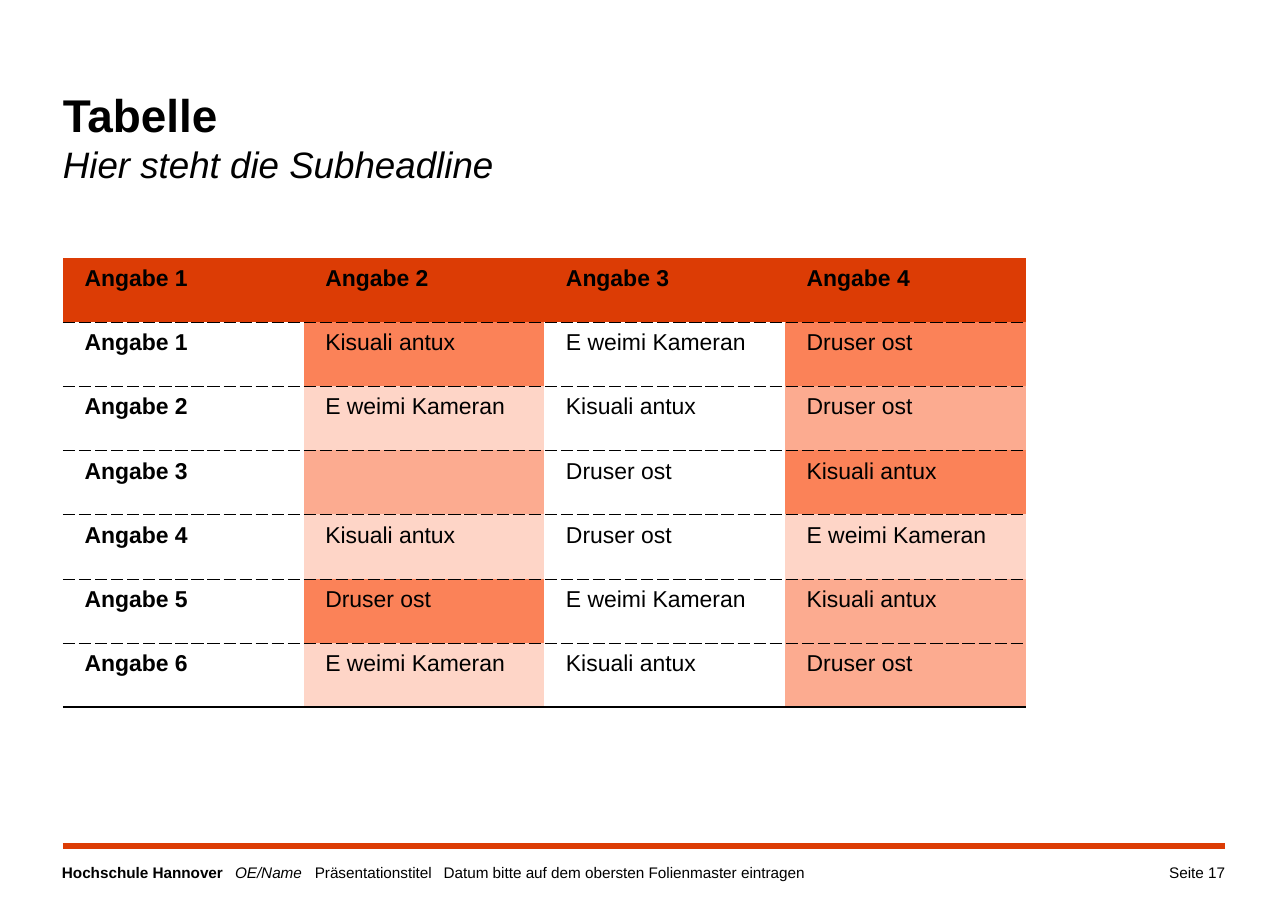
"""Build a slide with a headline, a colour-coded table and a footer."""
from lxml import etree
from pptx import Presentation
from pptx import util as u
from pptx.dml.color import RGBColor
from pptx.enum import shapes, text
from pptx.oxml import parse_xml
from pptx.oxml.ns import nsdecls, qn

FONT, BLACK, RED = "Arial", "000000", "DC3C05"
STRONG, MEDIUM, PALE = "FB8258", "FCAB90", "FED5C7"
LEFT, RIGHT = 1.45, 28.25

TITLE = "Tabelle\vHier steht die Subheadline"
TITLE_STYLES = [(30, True, False), (24, False, True)]
FOOTER = ["Hochschule Hannover", "\tOE/Name",
          "\tPräsentationstitel\tDatum bitte auf dem obersten Folienmaster eintragen"]
FOOTER_STYLES = [(10, True, False), (10, False, True), (10, False, False)]
FOOTER_TABS = [3.99, 5.83, 8.8]
PAGE_NUMBER = "Seite 17"

HEADER = ["Angabe 1", "Angabe 2", "Angabe 3", "Angabe 4"]
ROWS = [
    ["Angabe 1", "Kisuali antux", "E weimi Kameran", "Druser ost"],
    ["Angabe 2", "E weimi Kameran", "Kisuali antux", "Druser ost"],
    ["Angabe 3", "", "Druser ost", "Kisuali antux"],
    ["Angabe 4", "Kisuali antux", "Druser ost", "E weimi Kameran"],
    ["Angabe 5", "Druser ost", "E weimi Kameran", "Kisuali antux"],
    ["Angabe 6", "E weimi Kameran", "Kisuali antux", "Druser ost"],
]
FILLS = {
    1: [STRONG, PALE, MEDIUM, PALE, STRONG, PALE],
    3: [STRONG, MEDIUM, STRONG, PALE, MEDIUM, MEDIUM],
}
TABLE_TOP, COLUMN_WIDTH, ROW_HEIGHT = 5.94, 5.55, 1.48


def paint(target, colour):
    if hasattr(target, "solid"):
        target.solid()
        target = target.fore_color
    target.rgb = RGBColor.from_string(colour)


def style(font, size, bold=False, italic=False):
    font.name, font.size = FONT, u.Pt(size)
    font.bold, font.italic = bold, italic
    paint(font.color, BLACK)


def add_text(page, left, top, width, height, inset=0):
    box = page.shapes.add_textbox(u.Cm(left), u.Cm(top), u.Cm(width), u.Cm(height))
    frame = box.text_frame
    frame.word_wrap = True
    frame.margin_left = frame.margin_right = frame.margin_bottom = 0
    frame.margin_top = u.Cm(inset)
    return frame.paragraphs[0]


def add_title(page):
    para = add_text(page, LEFT, 1.85, RIGHT - LEFT, 2.64, 0.14)
    para.text = TITLE
    for span, look in zip(para.runs, TITLE_STYLES):
        style(span.font, *look)


def add_footer(page):
    rule = page.shapes.add_connector(
        shapes.MSO_CONNECTOR.STRAIGHT, u.Cm(LEFT), u.Cm(19.5), u.Cm(RIGHT), u.Cm(19.5))
    paint(rule.line.fill, RED)
    rule.line.width = u.Pt(4)
    etree.SubElement(rule._element.spPr, qn("a:effectLst"))

    para = add_text(page, 1.43, 19.91, 21.44, 0.61)
    stops = etree.SubElement(para._p.get_or_add_pPr(), qn("a:tabLst"))
    for position in FOOTER_TABS:
        etree.SubElement(stops, qn("a:tab"), pos=str(u.Cm(position)), algn="l")
    for words, look in zip(FOOTER, FOOTER_STYLES):
        span = para.add_run()
        span.text = words
        style(span.font, *look)

    para = add_text(page, 24.85, 19.91, 3.4, 0.63)
    para.text = PAGE_NUMBER
    para.alignment = text.PP_ALIGN.RIGHT
    style(para.runs[0].font, 10)


def set_border(cell, side, points=0, dash="solid"):
    fill = "<a:noFill/>"
    if points:
        fill = (f'<a:solidFill><a:srgbClr val="{BLACK}"/></a:solidFill>'
                f'<a:prstDash val="{dash}"/>')
    cell._tc.get_or_add_tcPr().append(parse_xml(
        f'<a:ln{side} {nsdecls("a")} w="{u.Pt(points)}">{fill}</a:ln{side}>'))


def add_table(page):
    content = [HEADER] + ROWS
    last = len(content) - 1
    table = page.shapes.add_table(
        len(content), len(HEADER), u.Cm(LEFT), u.Cm(TABLE_TOP),
        u.Cm(COLUMN_WIDTH * len(HEADER)), u.Cm(ROW_HEIGHT * len(content))).table
    table.first_row = table.horz_banding = False
    for column in table.columns:
        column.width = u.Cm(COLUMN_WIDTH)
    for r, words in enumerate(content):
        table.rows[r].height = u.Cm(ROW_HEIGHT)
        for c, word in enumerate(words):
            cell = table.cell(r, c)
            cell.margin_left = cell.margin_right = u.Cm(0.5)
            cell.margin_top = cell.margin_bottom = u.Cm(0.13)
            set_border(cell, "L")
            set_border(cell, "R")
            set_border(cell, "T", 0.23 if r else 0, "dash")
            set_border(cell, "B", *((1.08,) if r == last else (0.23, "dash")))
            colour = RED if r == 0 else FILLS[c][r - 1] if c in FILLS else None
            if colour:
                paint(cell.fill, colour)
            else:
                cell.fill.background()
            para = cell.text_frame.paragraphs[0]
            para.text = word
            para.line_spacing, para.space_after = 1.1, u.Pt(7.5)
            for span in para.runs:
                style(span.font, 15, bold=r == 0 or c == 0)


def main():
    deck = Presentation()
    deck.slide_width, deck.slide_height = u.Cm(29.7), u.Cm(21)
    page = deck.slides.add_slide(deck.slide_layouts[6])
    add_footer(page)
    add_title(page)
    add_table(page)
    deck.save("out.pptx")


if __name__ == "__main__":
    main()
